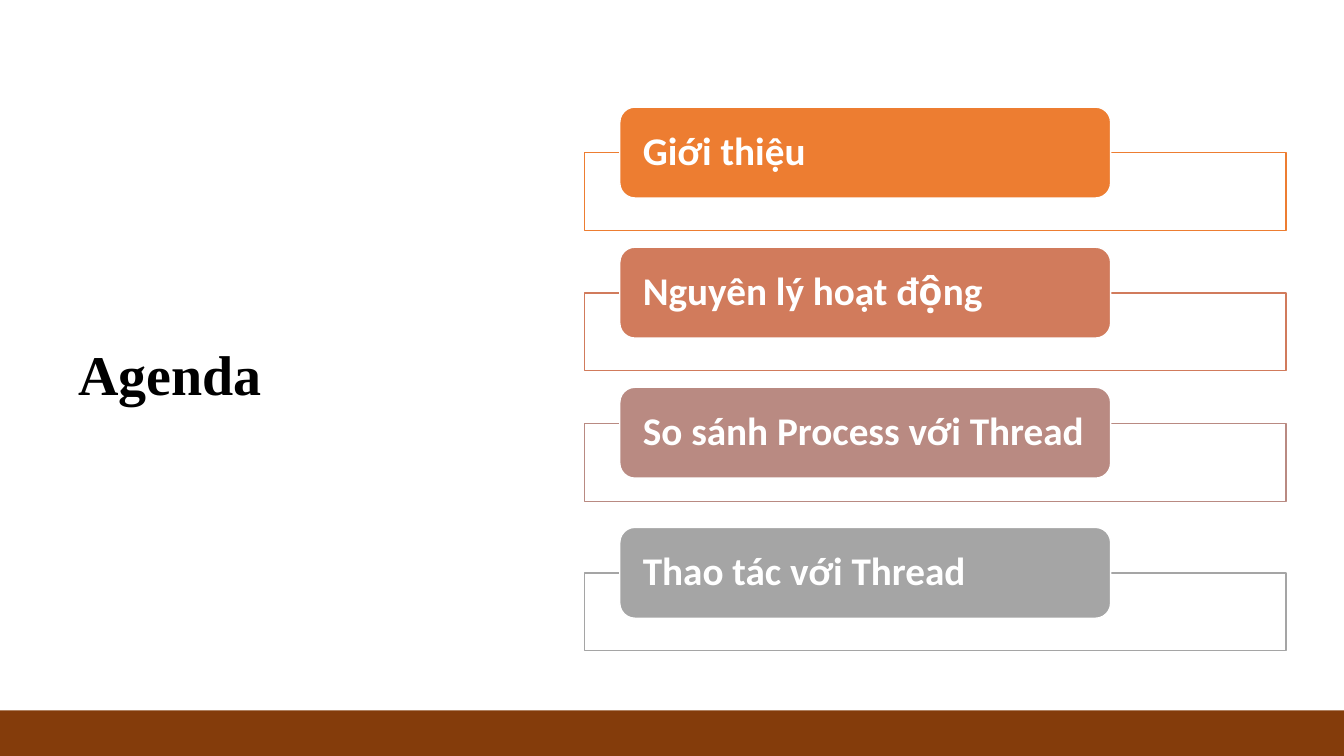
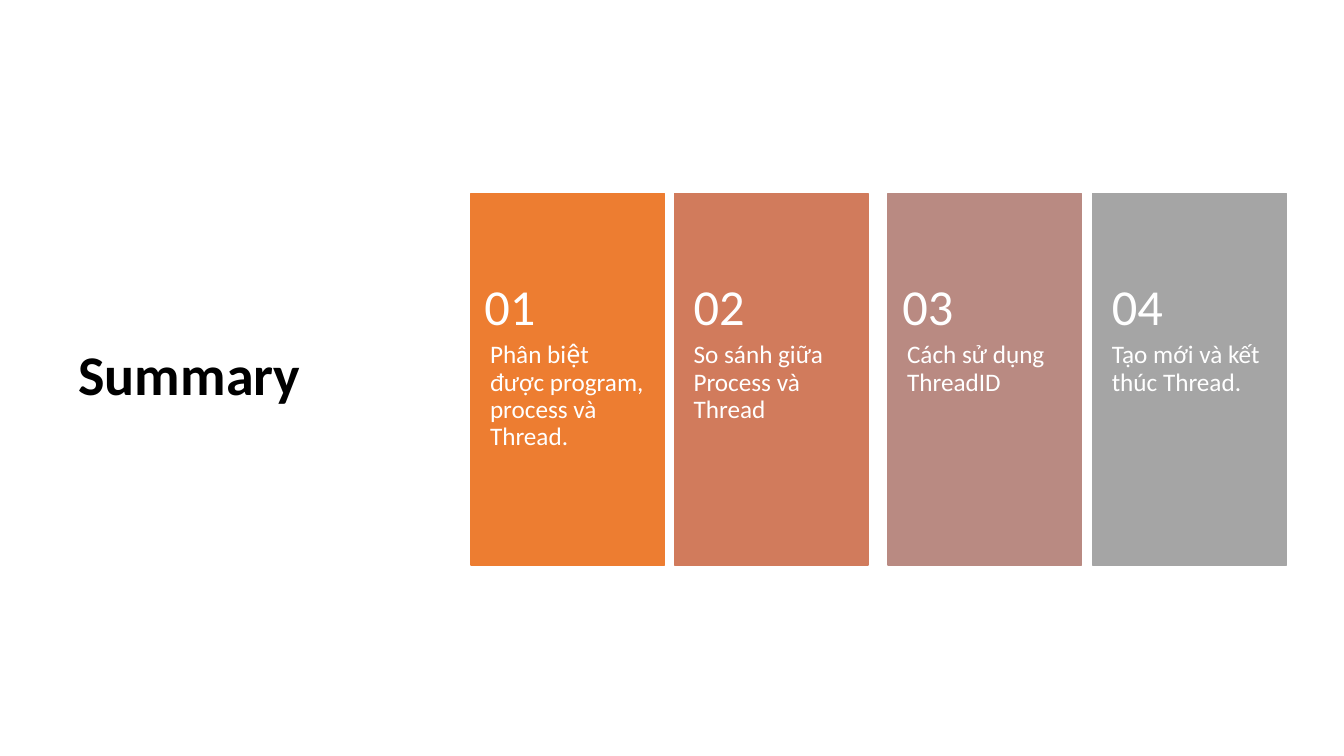
from pptx import Presentation
from pptx.dml.color import RGBColor
from pptx.enum.shapes import MSO_SHAPE as SHAPE
from pptx.enum.text import MSO_ANCHOR as ANCHOR, PP_ALIGN as ALIGN
from pptx.oxml.ns import qn
from pptx.util import Cm, Pt
from lxml import etree

# Shared look
WHITE = RGBColor(0xFF, 0xFF, 0xFF)
BLACK = RGBColor(0x00, 0x00, 0x00)
BROWN = RGBColor(0x84, 0x3C, 0x0B)
ORANGE = RGBColor(0xED, 0x7D, 0x31)
TERRACOTTA = RGBColor(0xD1, 0x7B, 0x5C)
ROSE = RGBColor(0xB9, 0x8A, 0x82)
GREY = RGBColor(0xA5, 0xA5, 0xA5)
ACCENTS = [ORANGE, TERRACOTTA, ROSE, GREY]
BODY_FONT = "Calibri"
TITLE_FONT = "Times New Roman"
TITLE_BOX = (1.73, 3.23, 10.01, 12.57)
TITLE_INSETS = (0.25, 0.13, 0.25, 0.13)

prs = Presentation()
prs.slide_width, prs.slide_height = Cm(33.87), Cm(19.05)
blank = prs.slide_layouts[6]


def add_box(s, kind, box, fill, line=None):
    sp = s.shapes.add_shape(kind, *[Cm(v) for v in box])
    sp.shadow.inherit = False
    sp.fill.solid()
    sp.fill.fore_color.rgb = fill
    if line is None:
        sp.line.fill.background()
    else:
        sp.line.color.rgb = line
        sp.line.width = Pt(1)
    return sp


def write(sp, text, size, insets, color=WHITE, bold=False, font=BODY_FONT,
          anchor=ANCHOR.MIDDLE):
    tf = sp.text_frame
    tf.word_wrap = True
    tf.vertical_anchor = anchor
    (tf.margin_left, tf.margin_top,
     tf.margin_right, tf.margin_bottom) = [Cm(v) for v in insets]
    p = tf.paragraphs[0]
    p.alignment = ALIGN.LEFT
    p.line_spacing = 0.9
    r = p.add_run()
    r.text = text
    r.font.name, r.font.size, r.font.bold = font, Pt(size), bold
    r.font.color.rgb = color


# Titles
slides = []
for title, font in [("Agenda", TITLE_FONT), ("Summary", BODY_FONT)]:
    s = prs.slides.add_slide(blank)
    sp = s.shapes.add_textbox(*[Cm(v) for v in TITLE_BOX])
    write(sp, title, 40, TITLE_INSETS, BLACK, True, font)
    sp.text_frame.paragraphs[0].space_after = Pt(6)
    slides.append(s)
agenda, summary = slides

# Agenda: bottom band
add_box(agenda, SHAPE.RECTANGLE, (0, 17.9, 33.87, 1.15), BROWN)

# Agenda: a labelled tab over each frame (label, drop from tab to frame)
# Escapes are Vietnamese tone marks written as combining characters
topics = [
    ("Giới thiệu", 1.15),
    ("Nguyên ly\u0301 hoa\u0323t đ\u00f4\u0323ng", 1.15),
    ("So sa\u0301nh Process v\u01a1\u0301i Thread", 0.92),
    ("Thao tác với Thread", 1.15),
]
for i, ((label, drop), color) in enumerate(zip(topics, ACCENTS)):
    top = 2.7 + i * 3.53
    frame = add_box(agenda, SHAPE.RECTANGLE, (14.73, top + drop, 17.68, 1.96),
                    WHITE, color)
    fill_color = frame.fill._xPr.find(qn("a:solidFill"))[0]
    etree.SubElement(fill_color, qn("a:alpha")).set("val", "90000")
    tab = add_box(agenda, SHAPE.ROUNDED_RECTANGLE, (15.62, top, 12.37, 2.29),
                  color, WHITE)
    write(tab, label, 28, (0.47, 0, 0.2, 0), bold=True)

# Summary: numbered cards (text, card left, number left)
cards = [
    ("Phân bi\u00ea\u0323t đ\u01b0\u01a1\u0323c program, process va\u0300 "
     "Thread.", 11.87, 11.73),
    ("So sa\u0301nh gi\u01b0\u0303a Process va\u0300 Thread", 17.0, 17.0),
    ("Ca\u0301ch s\u01b0\u0309 du\u0323ng ThreadID", 22.38, 22.26),
    ("Ta\u0323o m\u01a1\u0301i va\u0300 k\u00ea\u0301t thu\u0301c Thread.",
     27.54, 27.54),
]
for n, ((text, left, number_left), color) in enumerate(zip(cards, ACCENTS), 1):
    card = add_box(summary, SHAPE.RECTANGLE, (left, 4.88, 4.88, 9.36),
                   color, color)
    write(card, text, 18, (0.48, 3.74, 0.48, 0.91), anchor=ANCHOR.TOP)
    number = summary.shapes.add_textbox(Cm(number_left), Cm(6.63),
                                        Cm(4.88), Cm(2.34))
    write(number, f"{n:02}", 36, (0.48, 0.46, 0.48, 0.46))

prs.save("out.pptx")
